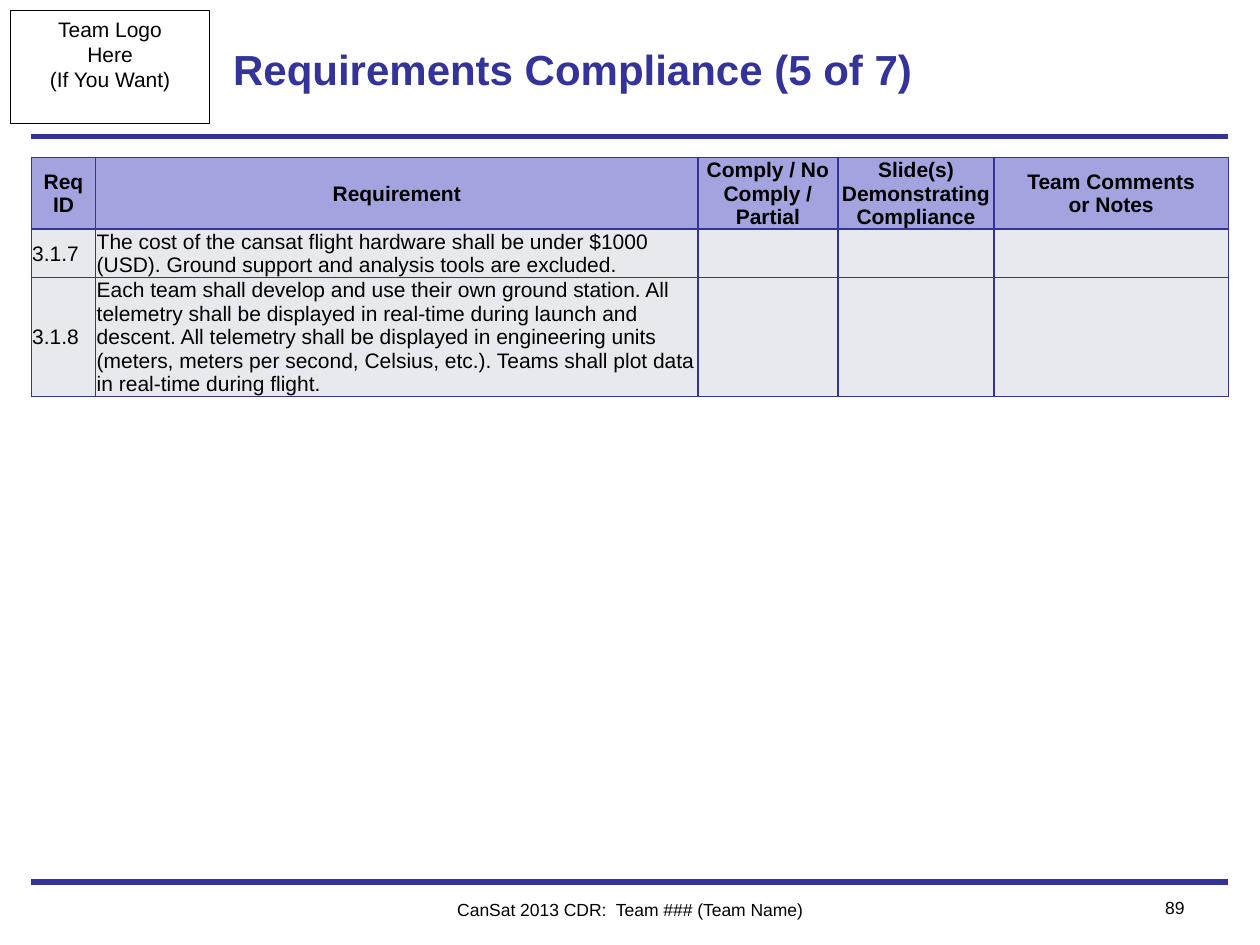
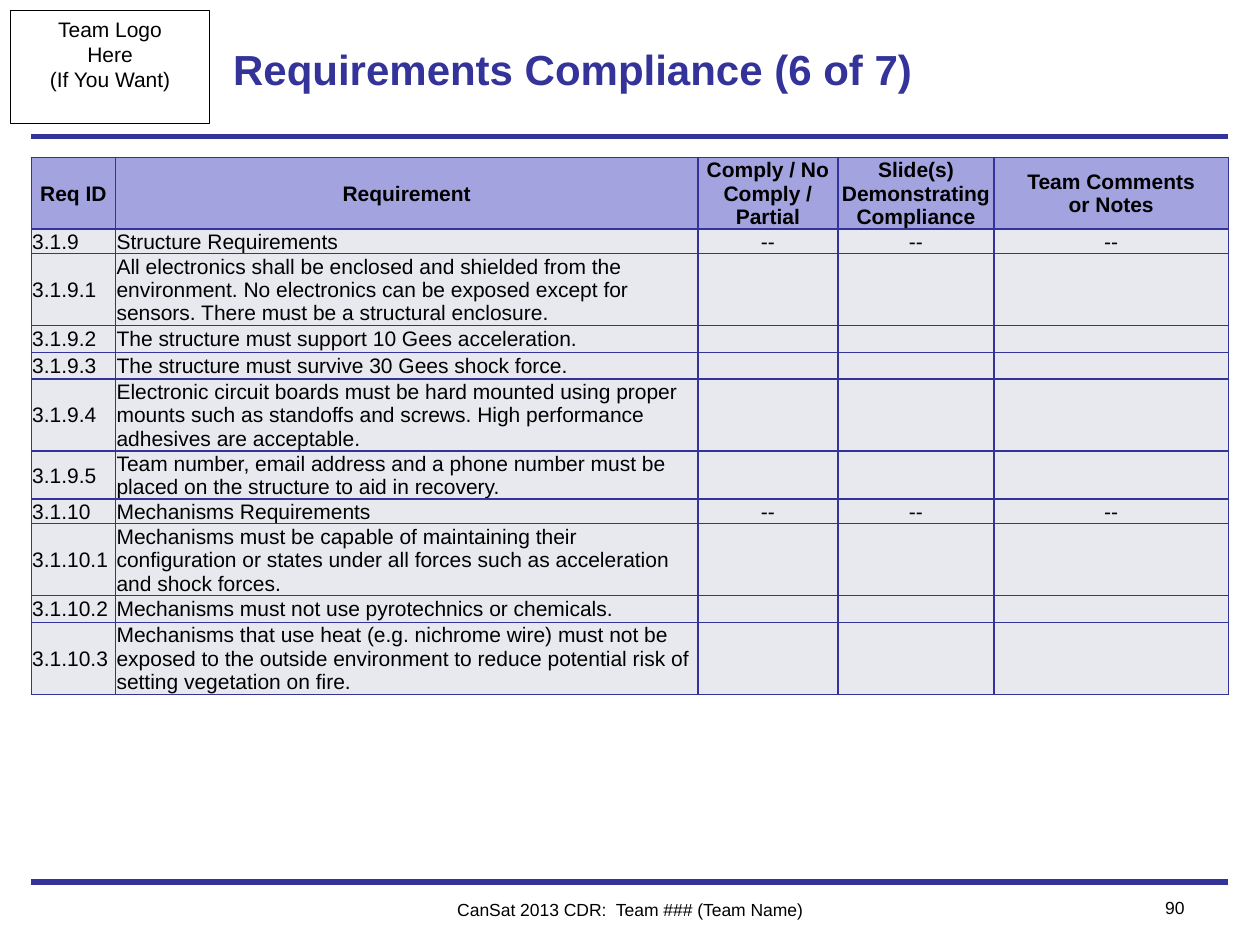
"""Build two requirements compliance slides for a CanSat design review."""
from lxml import etree
from pptx import Presentation
from pptx.dml.color import RGBColor
from pptx.enum.shapes import MSO_CONNECTOR, MSO_SHAPE
from pptx.enum.text import MSO_ANCHOR, PP_ALIGN
from pptx.oxml.ns import qn
from pptx.util import Cm, Pt

LEFT, CENTER, RIGHT = PP_ALIGN.LEFT, PP_ALIGN.CENTER, PP_ALIGN.RIGHT
TOP, MIDDLE, BOTTOM = MSO_ANCHOR.TOP, MSO_ANCHOR.MIDDLE, MSO_ANCHOR.BOTTOM
STRAIGHT, RECTANGLE = MSO_CONNECTOR.STRAIGHT, MSO_SHAPE.RECTANGLE

COLORS = {"accent": "333399", "header": "A3A3E0", "body": "E8E8EF", "text": "000000"}
FONT = "Arial"
MARGIN, CONTENT_WIDTH = 0.63, 24.13
STATUS_WIDTHS = [2.82, 3.15, 4.72]
HEADINGS = [
    "Req ID",
    "Requirement",
    "Comply / No Comply / Partial",
    "Slide(s) Demonstrating Compliance",
    "Team Comments\nor Notes",
]
OPEN = [""] * 3
SECTION = ["--"] * 3

PAGES = [
    ("Requirements Compliance (5 of 7)", 89, 1.3, [
        ("3.1.7", "The cost of the cansat flight hardware shall be under $1000 (USD). "
                  "Ground support and analysis tools are excluded.", OPEN, 0.97),
        ("3.1.8", "Each team shall develop and use their own ground station. All telemetry "
                  "shall be displayed in real-time during launch and descent. All telemetry "
                  "shall be displayed in engineering units (meters, meters per second, "
                  "Celsius, etc.). Teams shall plot data in real-time during flight.", OPEN, 2.4),
    ]),
    ("Requirements Compliance (6 of 7)", 90, 1.7, [
        ("3.1.9", "Structure Requirements", SECTION, 0.49),
        ("3.1.9.1", "All electronics shall be enclosed and shielded from the environment. "
                    "No electronics can be exposed except for sensors. "
                    "There must be a structural enclosure.", OPEN, 1.45),
        ("3.1.9.2", "The structure must support 10 Gees acceleration.", OPEN, 0.54),
        ("3.1.9.3", "The structure must survive 30 Gees shock force.", OPEN, 0.54),
        ("3.1.9.4", "Electronic circuit boards must be hard mounted using proper mounts such "
                    "as standoffs and screws. High performance adhesives are acceptable.",
         OPEN, 1.45),
        ("3.1.9.5", "Team number, email address and a phone number must be placed on the "
                    "structure to aid in recovery.", OPEN, 0.97),
        ("3.1.10", "Mechanisms Requirements", SECTION, 0.49),
        ("3.1.10.1", "Mechanisms must be capable of maintaining their configuration or states "
                     "under all forces such as acceleration and shock forces.", OPEN, 1.45),
        ("3.1.10.2", "Mechanisms must not use pyrotechnics or chemicals.", OPEN, 0.54),
        ("3.1.10.3", "Mechanisms that use heat (e.g. nichrome wire) must not be exposed to the "
                     "outside environment to reduce potential risk of setting vegetation on "
                     "fire.", OPEN, 1.45),
    ]),
]


def rgb(name):
    """Return the named palette colour."""
    return RGBColor.from_string(COLORS[name])


class Deck:
    """Hold the shared style and the current slide."""

    def __init__(self):
        """Start an empty 4:3 presentation."""
        self.presentation = Presentation()
        self.presentation.slide_width = Cm(25.4)
        self.presentation.slide_height = Cm(19.05)
        self.slide = None

    def new_slide(self, title, number):
        """Add a slide with its rules, team box, title and footer."""
        self.slide = self.presentation.slides.add_slide(self.presentation.slide_layouts[6])
        for y in (17.78, 2.75):
            self.rule(y)
        self.team_box()
        self.text(title, (4.45, 0.22, 15.04, 2.34), 24, LEFT, MIDDLE, "accent", True)
        self.text("CanSat 2013 CDR:  Team ### (Team Name)", (7.62, 18, 10.16, 0.69), 10, CENTER)
        self.text(str(number), (22.23, 17.95, 1.9, 0.69), 10, RIGHT)

    def style(self, frame, size, align, color="text", bold=False):
        """Format every paragraph and run of a text frame."""
        for paragraph in frame.paragraphs:
            paragraph.alignment = align
            for run in paragraph.runs:
                run.font.name = FONT
                run.font.size = Pt(size)
                run.font.bold = bold
                run.font.color.rgb = rgb(color)

    def text(self, words, box, size, align, anchor=TOP, color="text", bold=False):
        """Add a wrapped text box."""
        frame = self.slide.shapes.add_textbox(*map(Cm, box)).text_frame
        frame.word_wrap = True
        frame.vertical_anchor = anchor
        frame.text = words
        self.style(frame, size, align, color, bold)

    def rule(self, y):
        """Draw a horizontal rule across the content width."""
        rule = self.slide.shapes.add_connector(
            STRAIGHT, Cm(MARGIN), Cm(y), Cm(MARGIN + CONTENT_WIDTH), Cm(y))
        rule.line.color.rgb = rgb("accent")
        rule.line.width = Pt(3)
        etree.SubElement(rule._element.spPr, qn("a:effectLst"))

    def team_box(self):
        """Draw the outlined box reserved for the team."""
        box = self.slide.shapes.add_shape(RECTANGLE, Cm(0.21), Cm(0.21), Cm(4.02), Cm(2.29))
        box.shadow.inherit = False
        box.fill.background()
        box.line.color.rgb = rgb("text")
        box.line.width = Pt(0.5)
        frame = box.text_frame
        frame.word_wrap = False
        frame.vertical_anchor = TOP
        frame.text = "Team Logo\nHere\n(If You Want)"
        self.style(frame, 12, CENTER)

    def cell(self, cell, words, fill, align=LEFT, anchor=MIDDLE, bold=False):
        """Fill in one bordered table cell."""
        cell.margin_left = cell.margin_right = cell.margin_top = Cm(0.02)
        cell.margin_bottom = 0
        cell.vertical_anchor = anchor
        cell.text_frame.text = words
        self.style(cell.text_frame, 12, align, bold=bold)
        for paragraph in cell.text_frame.paragraphs:
            paragraph.line_spacing = Pt(13.4)
        if not words:
            etree.SubElement(paragraph._p, qn("a:endParaRPr"), sz="1200")
        properties = cell._tc.get_or_add_tcPr()
        for side in ("lnL", "lnR", "lnT", "lnB"):
            border = etree.SubElement(properties, qn(f"a:{side}"), w=str(Pt(1)))
            solid = etree.SubElement(border, qn("a:solidFill"))
            etree.SubElement(solid, qn("a:srgbClr"), val=COLORS["accent"])
        cell.fill.solid()
        cell.fill.fore_color.rgb = rgb(fill)

    def compliance_table(self, id_width, requirements):
        """Add the table of requirements under its heading row."""
        heights = [1.45] + [height for *_, height in requirements]
        widths = [id_width, CONTENT_WIDTH - id_width - sum(STATUS_WIDTHS), *STATUS_WIDTHS]
        table = self.slide.shapes.add_table(
            len(heights), len(widths), Cm(MARGIN), Cm(3.17),
            Cm(CONTENT_WIDTH), Cm(sum(heights))).table
        table.horz_banding = False
        for column, width in zip(table.columns, widths):
            column.width = Cm(width)
        for row, height in zip(table.rows, heights):
            row.height = Cm(height)
        for column, heading in enumerate(HEADINGS):
            self.cell(table.cell(0, column), heading, "header", CENTER, bold=True)
        for row, (req_id, requirement, statuses, _) in enumerate(requirements, 1):
            for column, words in enumerate((req_id, requirement)):
                self.cell(table.cell(row, column), words, "body")
            for column, status in enumerate(statuses, 2):
                self.cell(table.cell(row, column), status, "body", CENTER, BOTTOM)


def main():
    """Build and save the slides."""
    deck = Deck()
    for title, number, id_width, requirements in PAGES:
        deck.new_slide(title, number)
        deck.compliance_table(id_width, requirements)
    deck.presentation.save("out.pptx")


if __name__ == "__main__":
    main()
